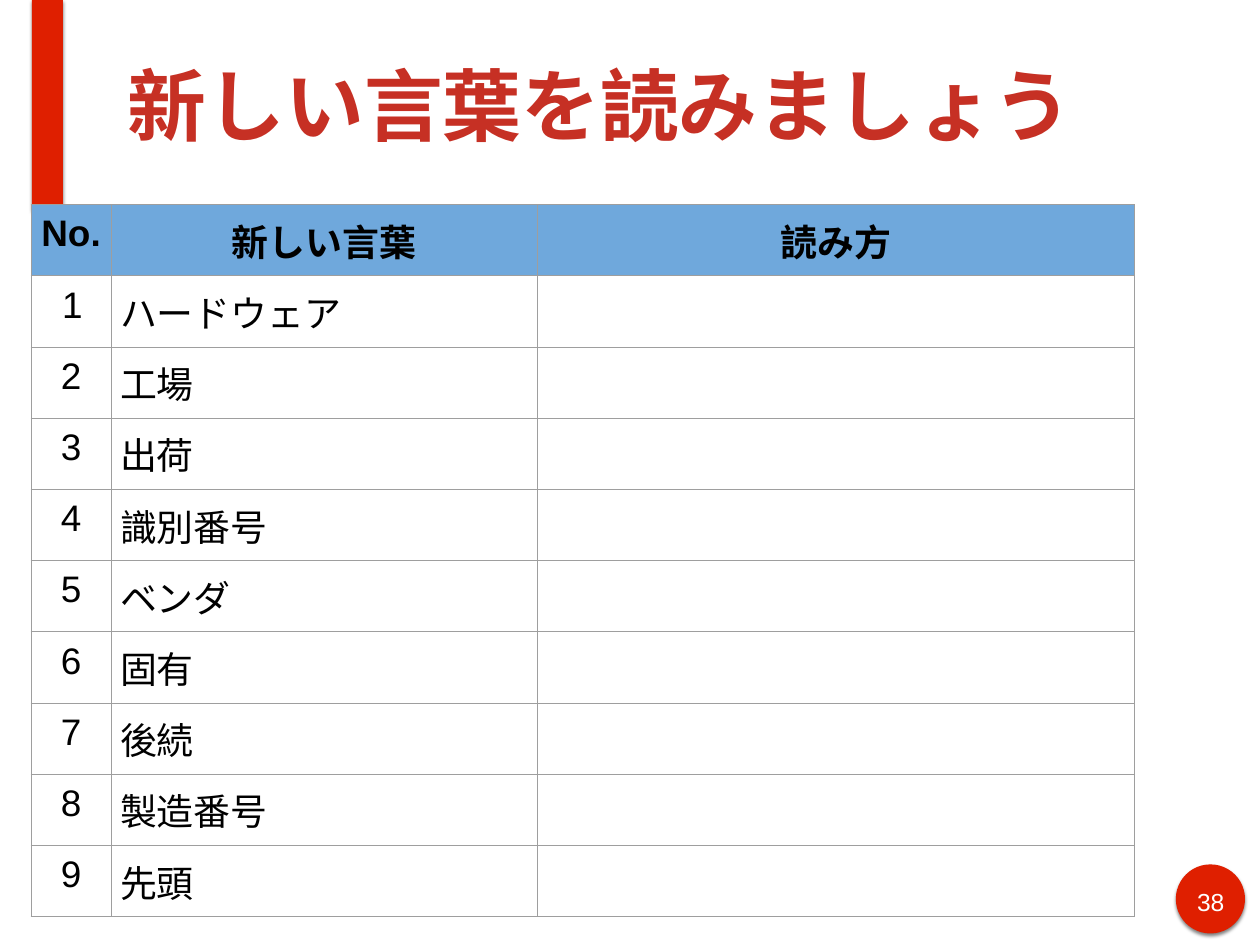
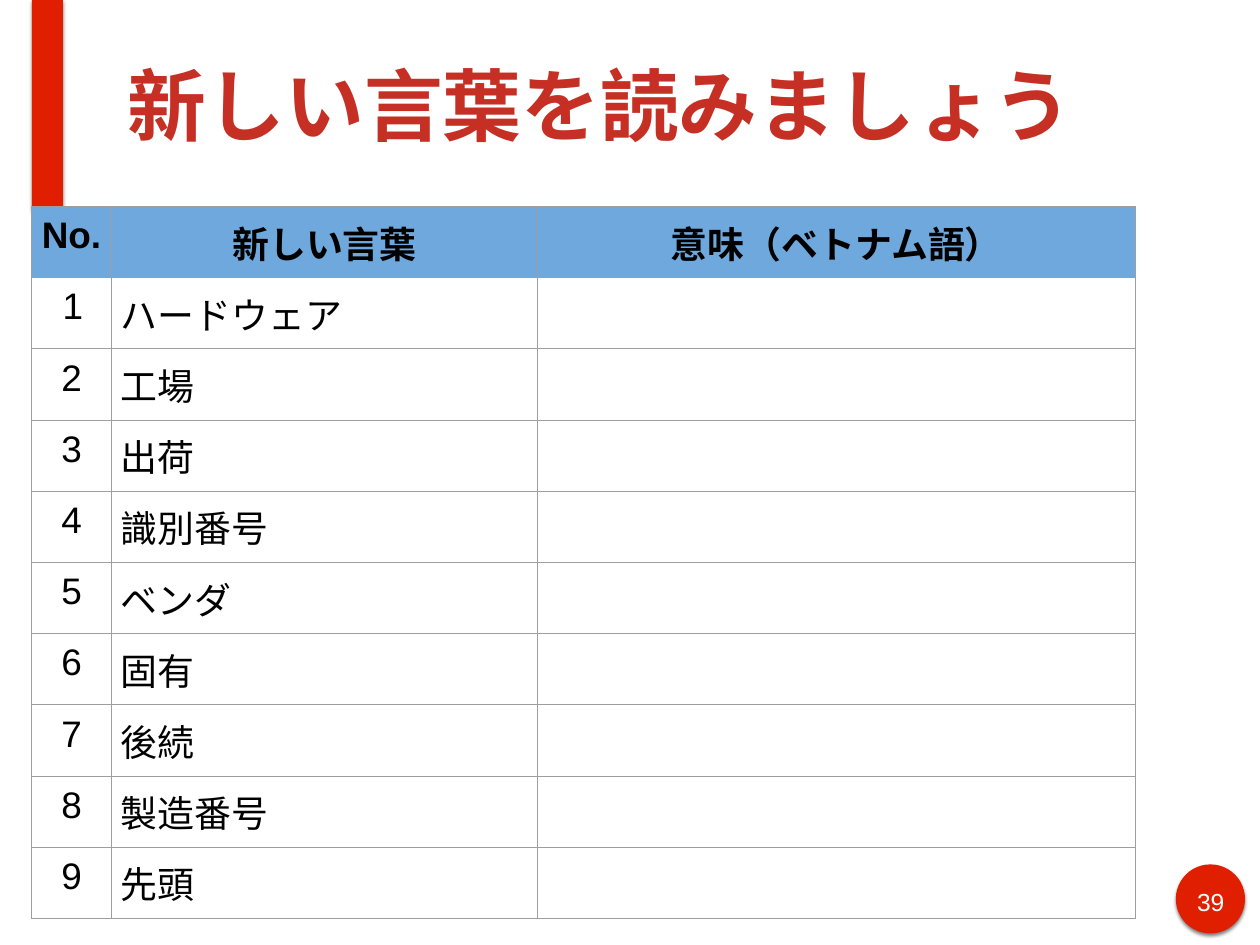
"""Build two vocabulary slides that share one title style, bar, badge and table."""
from typing import Any, NamedTuple

from lxml import etree
from pptx import Presentation, util as u
from pptx.dml.color import RGBColor
from pptx.enum import shapes, text
from pptx.oxml import ns

WIDE, HIGH = u.Inches(14.22), u.Inches(10.67)
RED, TITLE, BLUE, GREY = "DF1F00", "C63024", "6FA8DC", "9E9E9E"
BLACK, WHITE = "000000", "FFFFFF"
FACE = "Arial"
MID = text.PP_ALIGN.CENTER
LEFT = text.PP_ALIGN.LEFT
HEAD = "新しい言葉を読みましょう"
WORDS = ["ハードウェア", "工場", "出荷", "識別番号", "ベンダ", "固有", "後続", "製造番号", "先頭"]
SIDES = ("left", "right", "top", "bottom")
COLS = [6.36, 33.8, 47.44]
ROW = 7.13


class Box(NamedTuple):
    """Hold a place in percent of the slide's width and height."""
    x: float
    y: float
    w: float
    h: float

    def emu(self) -> tuple[int, int, int, int]:
        """Turn the place into lengths."""
        return wide(self.x), high(self.y), wide(self.w), high(self.h)


class Page(NamedTuple):
    """Hold what differs from slide to slide."""
    num: str
    ask: str
    x: float
    y: float


class Mark(NamedTuple):
    """Hold one red shape of the frame."""
    kind: Any
    box: Box


MARKS = [
    Mark(shapes.MSO_SHAPE.OVAL, Box(93.32, 91.47, 5.49, 7.31)),
    Mark(shapes.MSO_SHAPE.RECTANGLE, Box(2.53, 0, 2.46, 22.12)),
]
PAGES = [
    Page("38", "読み方", 2.46, 21.65),
    Page("39", "意味（ベトナム語）", 2.5, 21.84),
]
NUM_BOX = Box(94.37, 93.25, 3.45, 3.66)
HEAD_BOX = Box(9.73, 1.12, 85.37, 19.87)


def wide(part: float) -> int:
    """Turn a percent of the width into a length."""
    return round(WIDE * part / 100)


def high(part: float) -> int:
    """Turn a percent of the height into a length."""
    return round(HIGH * part / 100)


def rgb(code: str) -> RGBColor:
    """Turn a hex string into a colour."""
    return RGBColor.from_string(code)


def put(item: Any, form: dict[str, Any]) -> None:
    """Set each attribute named in the format."""
    for name, value in form.items():
        setattr(item, name, value)


def sub(node: Any, tag: str, **attrs: Any) -> Any:
    """Add a drawing element to a node."""
    return etree.SubElement(node, ns.qn(f"a:{tag}"), {k: str(v) for k, v in attrs.items()})


def write(para: Any, words: str, size: int, code: str, bold: bool = False, align: Any = MID) -> Any:
    """Write one run in the shared face and return its font."""
    para.alignment = align
    run = para.add_run()
    run.text = words
    put(run.font, {"size": u.Pt(size), "bold": bold, "name": FACE})
    run.font.color.rgb = rgb(code)
    return run.font


def pad(frame: Any, anchor: Any) -> None:
    """Give a text frame its insets and anchor."""
    put(frame, {f"margin_{side}": u.Inches(0.06) for side in SIDES})
    put(frame, {"word_wrap": True, "auto_size": text.MSO_AUTO_SIZE.NONE, "vertical_anchor": anchor})


def draw(slide: Any, mark: Mark) -> None:
    """Draw a red shape with a soft shadow below it."""
    shape = slide.shapes.add_shape(mark.kind, *mark.box.emu())
    shape.fill.solid()
    shape.fill.fore_color.rgb = rgb(RED)
    shape.line.fill.background()
    shape.shadow.inherit = False
    glow = sub(shape._element.spPr.find(ns.qn("a:effectLst")), "outerShdw",
               blurRad=u.Pt(3), dist=u.Pt(2), dir=90 * 60000, rotWithShape=0)
    sub(sub(glow, "srgbClr", val=BLACK), "alpha", val=50000)


def fill(cell: Any, words: str, top: bool, align: Any) -> None:
    """Format one table cell and write its words."""
    put(cell, {f"margin_{side}": u.Inches(0.1) for side in SIDES})
    props = cell._tc.get_or_add_tcPr()
    for edge in "LRTB":
        line = sub(props, f"ln{edge}", w=u.Pt(0.75))
        sub(sub(line, "solidFill"), "srgbClr", val=GREY)
    if top:
        cell.fill.solid()
        cell.fill.fore_color.rgb = rgb(BLUE)
    else:
        cell.fill.background()
    if words:
        write(cell.text_frame.paragraphs[0], words, 30, BLACK, top, align)


def grid(slide: Any, page: Page) -> None:
    """Draw the table of new words."""
    rows = [("No.", "新しい言葉", page.ask)]
    rows += [(str(i), word, "") for i, word in enumerate(WORDS, 1)]
    box = Box(page.x, page.y, sum(COLS), ROW * len(rows))
    table = slide.shapes.add_table(len(rows), len(COLS), *box.emu()).table
    put(table, {"first_row": False, "horz_banding": False})
    for col, part in zip(table.columns, COLS):
        col.width = wide(part)
    for r, row in enumerate(rows):
        table.rows[r].height = high(ROW)
        for c, words in enumerate(row):
            fill(table.cell(r, c), words, r == 0, MID if r == 0 or c == 0 else LEFT)
    first = table.cell(1, 0).text_frame.paragraphs[0]
    first.alignment = LEFT
    props = first._p.get_or_add_pPr()
    props.set("marL", str(u.Inches(0.5)))
    props.set("indent", str(-u.Inches(0.25)))


def build(deck: Any, page: Page) -> None:
    """Build one slide."""
    slide = deck.slides.add_slide(deck.slide_layouts[5])
    for mark in MARKS:
        draw(slide, mark)
    note = slide.shapes.add_textbox(*NUM_BOX.emu()).text_frame
    pad(note, text.MSO_ANCHOR.TOP)
    write(note.paragraphs[0], page.num, 20, WHITE)
    head = slide.shapes.title
    put(head, dict(zip(("left", "top", "width", "height"), HEAD_BOX.emu())))
    pad(head.text_frame, text.MSO_ANCHOR.MIDDLE)
    font = write(head.text_frame.paragraphs[0], HEAD, 64, TITLE, True, LEFT)
    sub(font._element, "ea", typeface=FACE)
    grid(slide, page)


def main() -> None:
    """Build and save the deck."""
    deck = Presentation()
    put(deck, {"slide_width": WIDE, "slide_height": HIGH})
    for page in PAGES:
        build(deck, page)
    deck.save("out.pptx")


if __name__ == "__main__":
    main()
